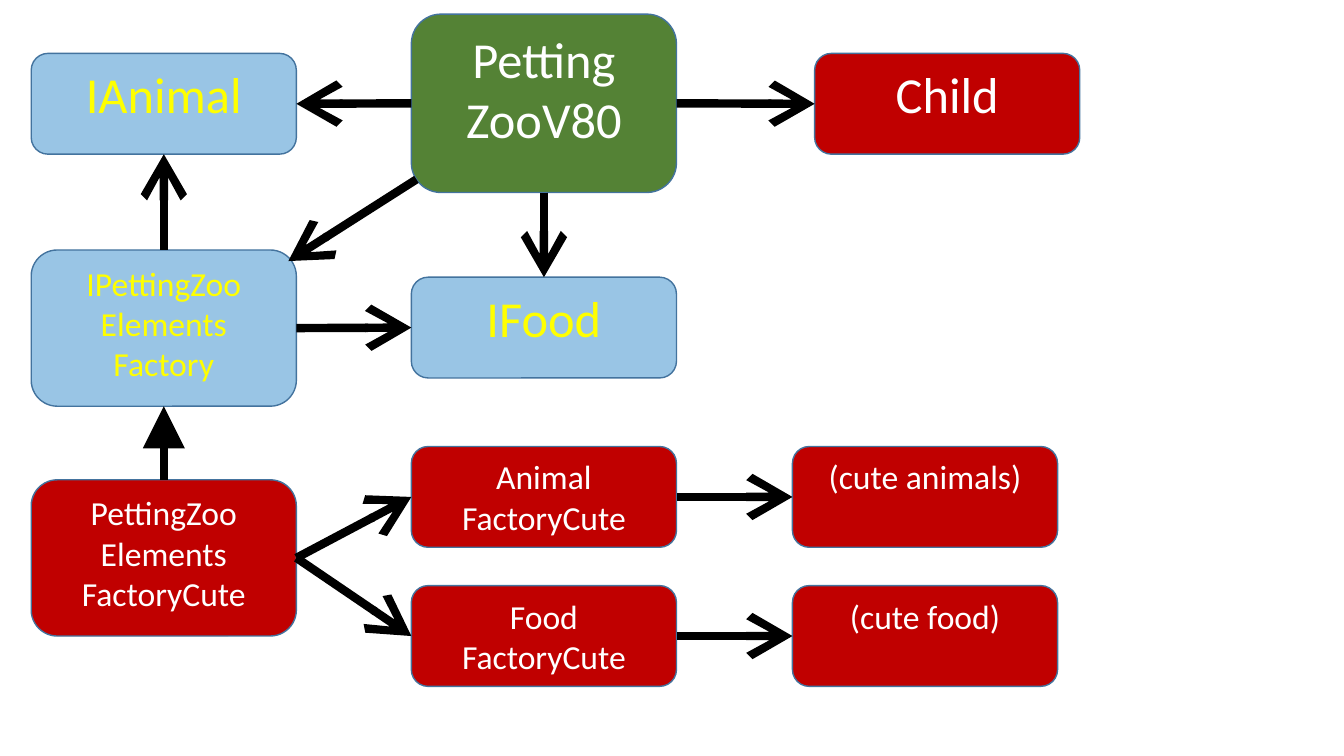
import pptx
import pptx.util
import pptx.dml.color
import pptx.enum.shapes
import pptx.enum.text
import pptx.oxml.ns
import lxml.etree
from dataclasses import dataclass

Inches = pptx.util.Inches
Pt = pptx.util.Pt


@dataclass(frozen=True)
class Theme:
    font: str = "Calibri"
    large: int = 36
    small: int = 24
    outline: str = "43739E"
    outline_width: int = 1
    arrow: str = "000000"
    arrow_width: int = 6


@dataclass(frozen=True)
class Role:
    fill: str
    text: str
    opacity: int = 100


THEME = Theme()
INTERFACE = Role("0070C0", "FFFF00", 40)
CONCRETE = Role("C00000", "FFFFFF")
CLIENT = Role("548235", "FFFFFF")

BOX_WIDTH = 2.63
LEFT, MIDDLE, RIGHT, CHILD_LEFT = 0.31, 4.08, 7.86, 8.08
TOP, BOTTOM, WEST, EAST = 0, 2, 1, 3

BOXES = {
    "child": (CHILD_LEFT, 0.53, 1, CONCRETE, THEME.large, ["Child"]),
    "zoo": (MIDDLE, 0.14, 1.77, CLIENT, THEME.large, ["Petting", "ZooV80"]),
    "animal": (LEFT, 0.53, 1, INTERFACE, THEME.large, ["IAnimal"]),
    "factory": (LEFT, 2.48, 1.55, INTERFACE, THEME.small,
                ["IPettingZoo", "Elements", "Factory"]),
    "food": (MIDDLE, 2.75, 1, INTERFACE, THEME.large, ["IFood"]),
    "cute_factory": (LEFT, 4.76, 1.55, CONCRETE, THEME.small,
                     ["PettingZoo", "Elements", "FactoryCute"]),
    "animal_factory": (MIDDLE, 4.43, 1, CONCRETE, THEME.small,
                       ["Animal", "FactoryCute"]),
    "cute_animals": (RIGHT, 4.43, 1, CONCRETE, THEME.small, ["(cute animals)"]),
    "food_factory": (MIDDLE, 5.81, 1, CONCRETE, THEME.small,
                     ["Food", "FactoryCute"]),
    "cute_food": (RIGHT, 5.81, 1, CONCRETE, THEME.small, ["(cute food)"]),
}

LINKS = [
    ("zoo", EAST, "child", WEST, "arrow"),
    ("zoo", WEST, "animal", EAST, "arrow"),
    ("zoo", BOTTOM, "food", TOP, "arrow"),
    ("factory", TOP, "animal", BOTTOM, "arrow"),
    ("factory", EAST, "food", WEST, "arrow"),
    ("cute_factory", TOP, "factory", BOTTOM, "triangle"),
    ("cute_factory", EAST, "animal_factory", WEST, "arrow"),
    ("cute_factory", EAST, "food_factory", WEST, "arrow"),
    ("animal_factory", EAST, "cute_animals", WEST, "arrow"),
    ("food_factory", EAST, "cute_food", WEST, "arrow"),
]


def color(value):
    return pptx.dml.color.RGBColor.from_string(value)


def add_element(parent, tag, **attributes):
    return lxml.etree.SubElement(parent, pptx.oxml.ns.qn(tag), attributes)


def add_class_box(page, left, top, height, role, size, lines):
    box = page.shapes.add_shape(
        pptx.enum.shapes.MSO_SHAPE.ROUNDED_RECTANGLE,
        Inches(left), Inches(top), Inches(BOX_WIDTH), Inches(height))
    box.shadow.inherit = False
    box.fill.solid()
    box.fill.fore_color.rgb = color(role.fill)
    if role.opacity < 100:
        fill = box.element.spPr.find(pptx.oxml.ns.qn("a:solidFill"))
        add_element(fill[0], "a:alpha", val=str(role.opacity * 1000))
    box.line.color.rgb = color(THEME.outline)
    box.line.width = Pt(THEME.outline_width)
    frame = box.text_frame
    frame.word_wrap = True
    frame.vertical_anchor = pptx.enum.text.MSO_ANCHOR.TOP
    frame.text = "\n".join(lines)
    for para in frame.paragraphs:
        para.alignment = pptx.enum.text.PP_ALIGN.CENTER
        para.font.name = THEME.font
        para.font.size = Pt(size)
        para.font.color.rgb = color(role.text)
    return box


def add_arrow(page, start, end, head="arrow"):
    arrow = page.shapes.add_connector(
        pptx.enum.shapes.MSO_CONNECTOR.STRAIGHT,
        *(Inches(length) for length in start + end))
    arrow.line.color.rgb = color(THEME.arrow)
    arrow.line.width = Pt(THEME.arrow_width)
    add_element(arrow.line._get_or_add_ln(), "a:tailEnd",
                type=head, w="lg", len="lg")
    add_element(arrow._element.spPr, "a:effectLst")
    return arrow


def add_class_diagram(page):
    boxes = {name: add_class_box(page, *details)
             for name, details in BOXES.items()}
    for source, source_side, target, target_side, head in LINKS:
        arrow = add_arrow(page, (0, 0), (1, 1), head)
        arrow.begin_connect(boxes[source], source_side)
        arrow.end_connect(boxes[target], target_side)
    add_arrow(page, (4.13, 1.78), (2.86, 2.59))


def main():
    deck = pptx.Presentation()
    deck.slide_width = Inches(13.33)
    deck.slide_height = Inches(7.5)
    page = deck.slides.add_slide(deck.slide_layouts[6])
    add_class_diagram(page)
    deck.save("out.pptx")


if __name__ == "__main__":
    main()
